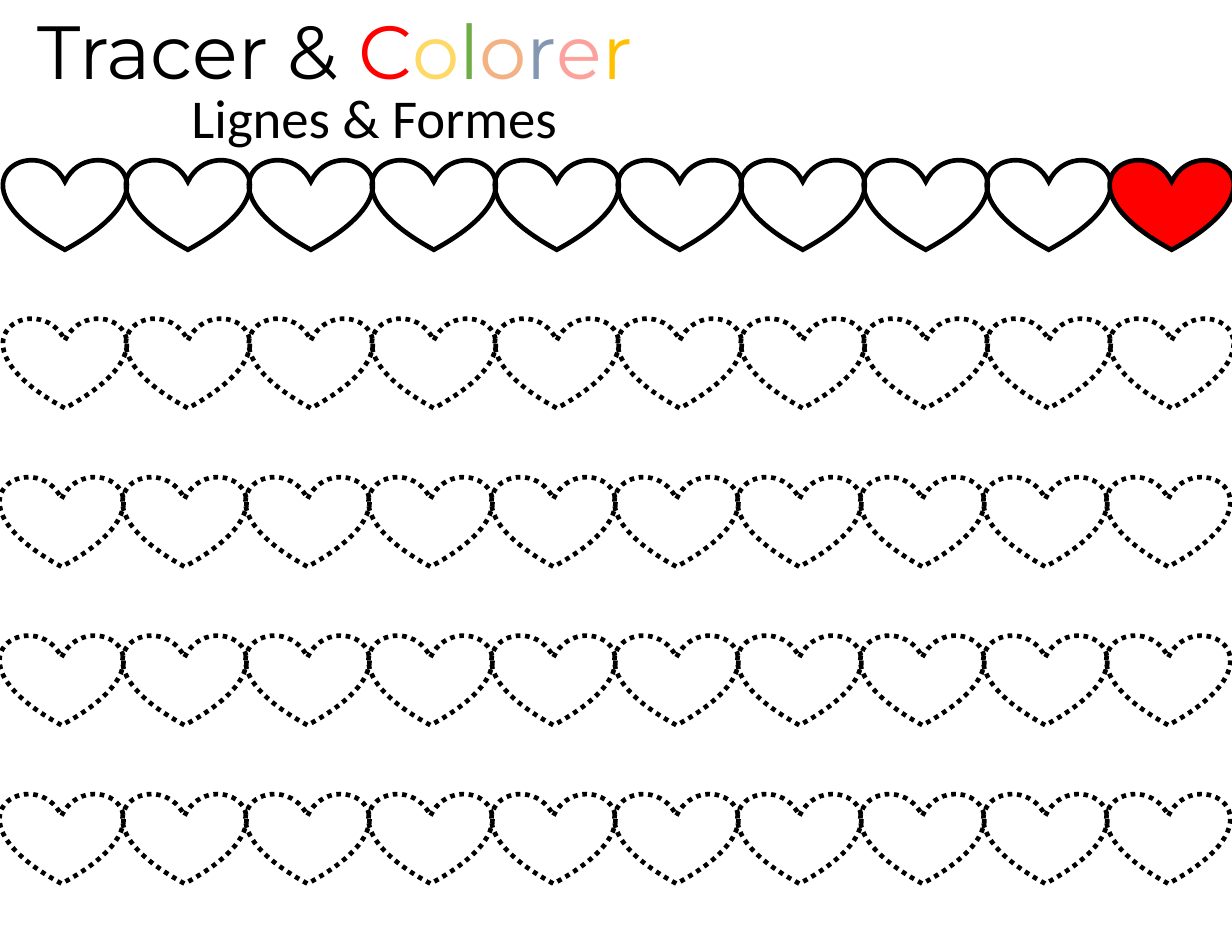
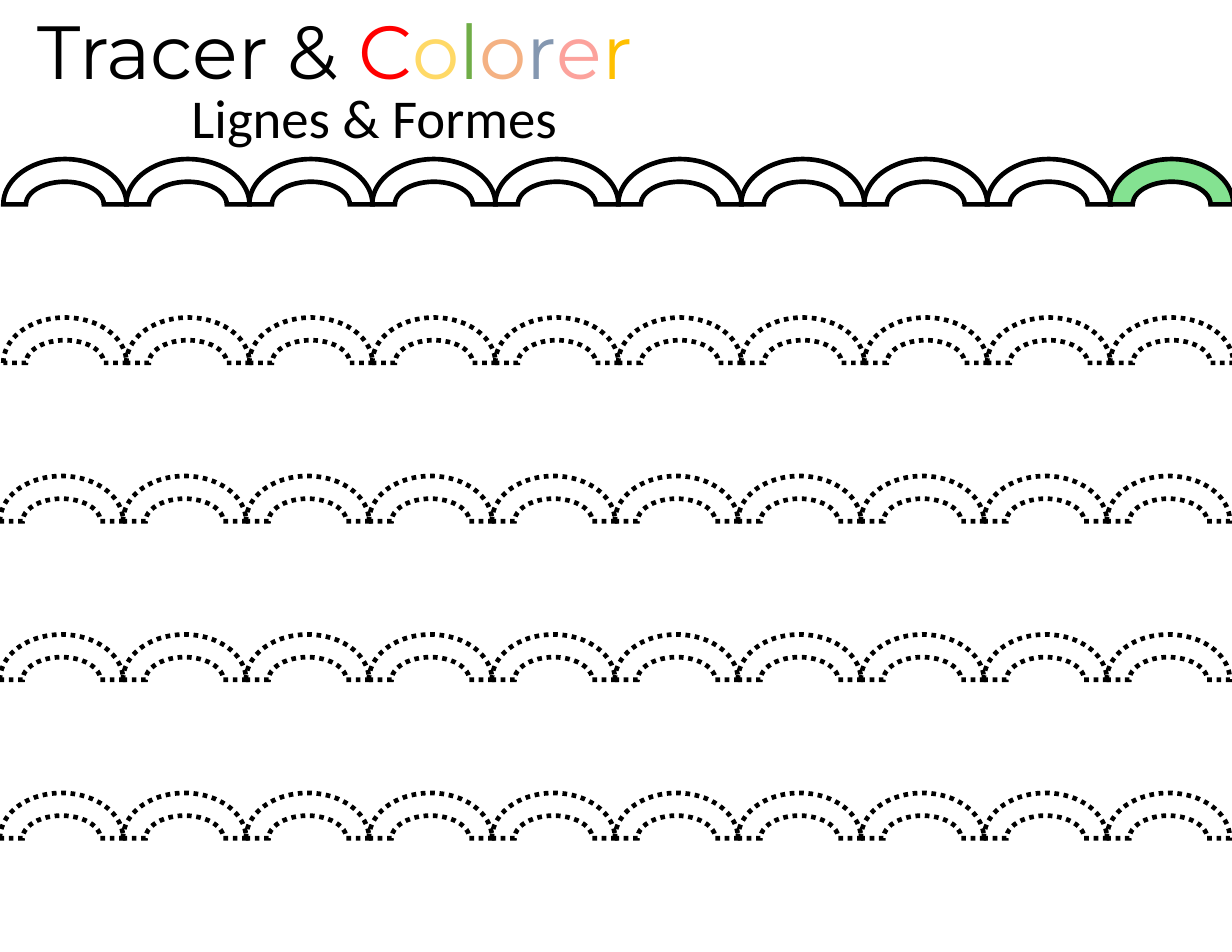
from dataclasses import dataclass

from lxml import etree
from pptx import Presentation
from pptx.dml.color import RGBColor
from pptx.enum.dml import MSO_LINE
from pptx.enum.shapes import MSO_SHAPE
from pptx.enum.text import MSO_AUTO_SIZE, PP_ALIGN
from pptx.oxml.ns import qn
from pptx.util import Inches, Pt


@dataclass(frozen=True)
class Theme:
    ink: str = "000000"
    paper: str = "FFFFFF"
    heart: str = "FF0000"
    arc: str = "84E291"
    title_font: str = "Montserrat"
    title_size: float = 48.4
    subtitle_font: str = "Calibri"
    subtitle_size: float = 35.2
    outline: float = 3
    rainbow: tuple = ("FF0000", "FFD966", "70AD47", "F4B183",
                      "8497B0", "FCA29C", "FFC000")


THEME = Theme()

# Tracing grid: the two upper rows sit slightly further right
COLUMNS, PITCH = 10, 10.98 / 10
SHAPE_W, SHAPE_H = 1.1, 0.81
ROW_LEFTS = (0.03, 0.03, 0, 0, 0)
FIRST_ROW_TOP, ROW_PITCH = 1.42, 1.415


def rgb(color):
    return RGBColor.from_string(color)


def add_text(slide, box, parts, font, size, align=PP_ALIGN.LEFT):
    """Add a one-line text box; parts are (text, colour) pairs."""
    tf = slide.shapes.add_textbox(*map(Inches, box)).text_frame
    tf.word_wrap = True
    tf.auto_size = MSO_AUTO_SIZE.SHAPE_TO_FIT_TEXT
    p = tf.paragraphs[0]
    p.alignment = align
    for text, color in parts:
        r = p.add_run()
        r.text = text
        r.font.name = font
        r.font.size = Pt(size)
        r.font.color.rgb = rgb(color)


def add_heading(slide):
    add_text(slide, (0.78, 0.7, 5.12, 0.69), [("Lignes & Formes", THEME.ink)],
             THEME.subtitle_font, THEME.subtitle_size, PP_ALIGN.CENTER)
    letters = list(zip("Colorer", THEME.rainbow))
    add_text(slide, (0.24, -0.01, 6.42, 0.92),
             [("Tracer & ", THEME.ink)] + letters,
             THEME.title_font, THEME.title_size)


def add_outline(group, kind, left, top, dotted, fill=None):
    s = group.shapes.add_shape(kind, Inches(left), Inches(top),
                               Inches(SHAPE_W), Inches(SHAPE_H))
    s.shadow.inherit = False
    if fill:
        s.fill.solid()
        s.fill.fore_color.rgb = rgb(fill)
    else:
        s.fill.background()
    s.line.color.rgb = rgb(THEME.ink)
    s.line.width = Pt(THEME.outline)
    if dotted:
        s.line.dash_style = MSO_LINE.ROUND_DOT
    # Sharp corners
    ln = s.element.spPr.find(qn("a:ln"))
    etree.SubElement(ln, qn("a:miter"), lim="800000")


def add_row(slide, kind, row, model_fill):
    """Add one grouped row; the first is solid and ends in a coloured model."""
    group = slide.shapes.add_group_shape()
    top = FIRST_ROW_TOP + row * ROW_PITCH
    for column in range(COLUMNS):
        is_model = row == 0 and column == COLUMNS - 1
        add_outline(group, kind, ROW_LEFTS[row] + column * PITCH, top,
                    dotted=row > 0, fill=model_fill if is_model else None)


def add_worksheet(prs, kind, model_fill):
    slide = prs.slides.add_slide(prs.slide_layouts[6])
    slide.background.fill.solid()
    slide.background.fill.fore_color.rgb = rgb(THEME.paper)
    for row in range(len(ROW_LEFTS)):
        add_row(slide, kind, row, model_fill)
    add_heading(slide)


def main():
    prs = Presentation()
    prs.slide_width, prs.slide_height = Inches(11), Inches(8.5)
    add_worksheet(prs, MSO_SHAPE.HEART, THEME.heart)
    add_worksheet(prs, MSO_SHAPE.BLOCK_ARC, THEME.arc)
    prs.save("out.pptx")


if __name__ == "__main__":
    main()
